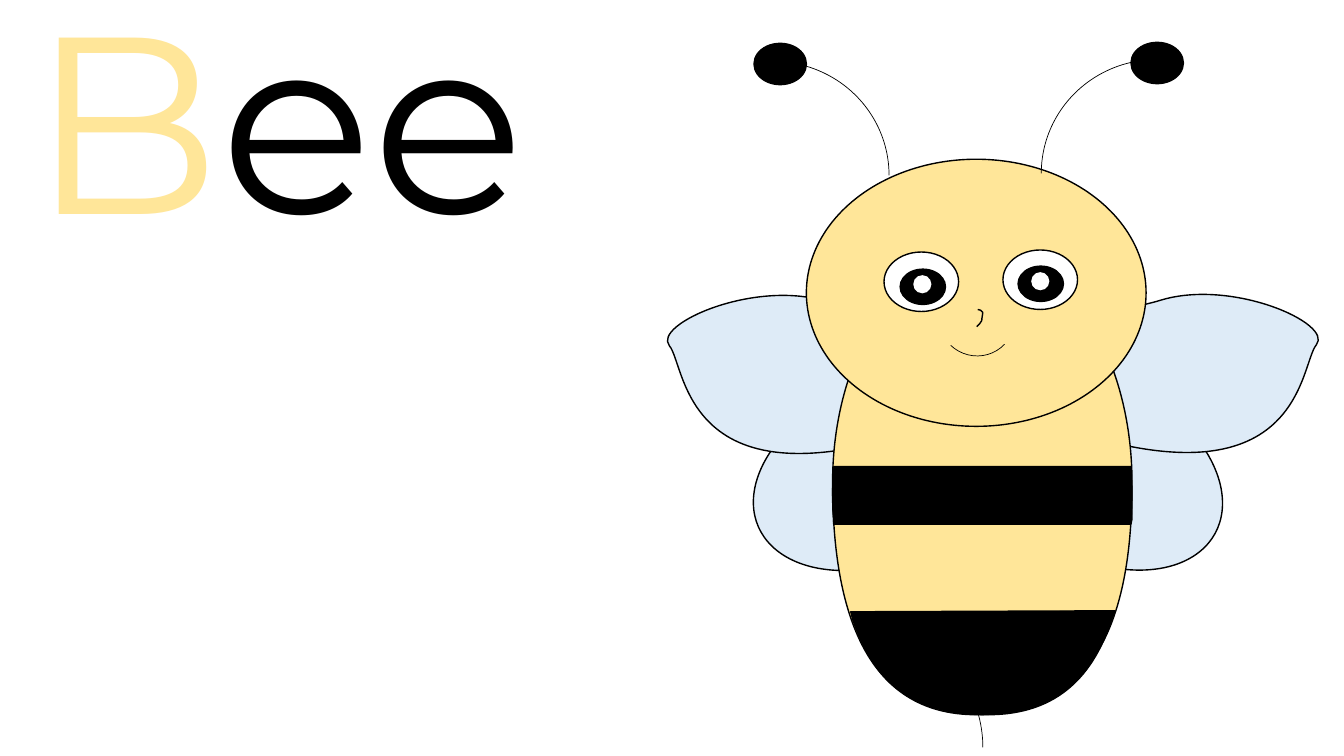
import math
from dataclasses import dataclass, replace
from typing import Optional

import lxml.etree
import pptx
import pptx.dml.color
import pptx.enum.shapes
import pptx.enum.text
import pptx.oxml.ns
import pptx.util

COLS, ROWS = 133.33, 75
SHAPE = pptx.enum.shapes.MSO_SHAPE

Segment = tuple[float, ...]


@dataclass(frozen=True)
class Theme:
    yellow: str = "FFE699"
    black: str = "000000"
    white: str = "FFFFFF"
    wing: str = "DEEBF7"
    font: str = "Montserrat"
    title_size: float = 180
    outline: float = 1
    hairline: float = 0.5


THEME = Theme()


@dataclass(frozen=True)
class Part:
    col: float
    row: float
    cols: float
    rows: float
    fill: Optional[str] = None
    line: float = THEME.outline
    rotation: float = 0
    flip: str = ""


@dataclass(frozen=True)
class Oval(Part):
    pass


@dataclass(frozen=True)
class Arc(Part):
    line: float = THEME.hairline


@dataclass(frozen=True)
class Outline(Part):
    segments: tuple[Segment, ...] = ()


def mirrored(part: Outline, axis: float, drop: float) -> Outline:
    def reflect(values: Segment) -> Segment:
        return tuple(v + drop if i % 2 else 2 * axis - v for i, v in enumerate(values))

    return replace(
        part,
        col=2 * axis - part.col - part.cols,
        row=part.row + drop,
        rotation=360 - part.rotation,
        segments=tuple(map(reflect, part.segments)),
    )


def eye(col: float, row: float, pupil_col: float, pupil_row: float) -> list[Oval]:
    return [
        Oval(col, row, 7.4, 5.9, THEME.white, flip="H"),
        Oval(pupil_col, pupil_row, 4.5, 3.5, THEME.black, flip="H"),
        Oval(pupil_col + 1.3, pupil_row + 0.6, 1.8, 1.8, THEME.white, line=0, flip="V"),
    ]


RIGHT_WING = Outline(96.2, 29.2, 35.1, 17.4, THEME.wing, rotation=342.5, segments=(
    (104.9, 42.3),
    (129.3, 50.7, 128.9, 36.2, 130.6, 34.2),
    (132.3, 32.1, 122.2, 27.6, 115.1, 29.8),
    (108, 32, 80.4, 33.8, 104.9, 42.3),
))

BODY = Outline(74.5, 33.1, 45.9, 29.7, THEME.yellow, rotation=270, segments=(
    (97.5, 70.9),
    (85.9, 71.3, 82.6, 60.6, 82.6, 47.9),
    (82.6, 35.2, 89.3, 25, 97.5, 25),
    (105.7, 25, 112.3, 35.2, 112.3, 47.9),
    (112.3, 60.6, 109.1, 70.5, 97.5, 70.9),
))

STRIPE = Outline(82.6, 46.3, 29.7, 5.7, THEME.black, segments=(
    (82.7, 46.3), (112.2, 46.3), (112.3, 48.6),
    (112.3, 49.6, 112.3, 50.6, 112.3, 51.5),
    (112.2, 52), (82.7, 52), (82.7, 51.5),
    (82.6, 50.6, 82.6, 49.6, 82.6, 48.6),
    (82.7, 46.3),
))

TAIL = Outline(84.4, 60.6, 26.2, 10.3, THEME.black, segments=(
    (110.6, 60.6), (84.4, 60.7), (84.6, 61.5),
    (86.5, 67, 89.8, 70.8, 97.5, 70.9),
    (104.5, 71.1, 108.3, 67.4, 110.2, 61.7),
    (110.6, 60.6),
))

NOSE = Outline(96.9, 30.7, 0.6, 1.8, segments=(
    (97, 30.7),
    (97.2, 30.7, 97.4, 30.8, 97.5, 31),
    (97.5, 31.1, 97.4, 31.6, 97.4, 31.8),
    (97.3, 32, 97.3, 32, 97.2, 32.1),
    (97.1, 32.2, 96.9, 32.4, 96.9, 32.4),
    (96.9, 32.4),
))

BEE = [
    Oval(95.2, 37.6, 27, 17.7, THEME.wing, rotation=28.7, flip="V"),
    RIGHT_WING,
    Oval(74.1, 38, 27, 17.7, THEME.wing, rotation=336.3, flip="HV"),
    mirrored(RIGHT_WING, axis=98.5, drop=0.1),
    Arc(74.5, 62.3, 23, 23.7),
    BODY,
    Oval(80, 15.8, 33.7, 26.5, THEME.yellow),
    Arc(103.3, 5.9, 23, 22.6, flip="H"),
    Arc(65.2, 6.1, 23, 22.6),
    Oval(112.2, 4.2, 5.2, 4.1, THEME.black, flip="H"),
    Oval(74.8, 4.3, 5.2, 4.1, THEME.black, flip="H"),
    *eye(99.5, 24.8, 101, 26.4),
    *eye(87.7, 25, 89.3, 26.7),
    Arc(93.1, 27.8, 7.6, 7.5, rotation=43.5, flip="V"),
    STRIPE,
    NOSE,
    TAIL,
]

prs = pptx.Presentation()
prs.slide_width = pptx.util.Inches(13.33)
prs.slide_height = pptx.util.Inches(7.5)


def x(cols: float) -> int:
    return round(cols * prs.slide_width / COLS)


def y(rows: float) -> int:
    return round(rows * prs.slide_height / ROWS)


def rgb(color: str) -> pptx.dml.color.RGBColor:
    return pptx.dml.color.RGBColor.from_string(color)


def draw_path(sp, part: Outline) -> None:
    qn = pptx.oxml.ns.qn
    angle = math.radians(part.rotation)
    mid_col, mid_row = part.col + part.cols / 2, part.row + part.rows / 2
    geometry = next(sp._element.iter(qn("a:path")))
    for child in list(geometry):
        geometry.remove(child)
    for i, seg in enumerate(part.segments):
        tag = "a:moveTo" if i == 0 else "a:cubicBezTo" if len(seg) == 6 else "a:lnTo"
        command = lxml.etree.SubElement(geometry, qn(tag))
        for col, row in zip(seg[::2], seg[1::2]):
            dx, dy = col - mid_col, row - mid_row
            across = dx * math.cos(angle) + dy * math.sin(angle) + part.cols / 2
            down = dy * math.cos(angle) - dx * math.sin(angle) + part.rows / 2
            pt = lxml.etree.SubElement(command, qn("a:pt"))
            pt.set("x", str(x(across)))
            pt.set("y", str(y(down)))
    if part.fill:
        lxml.etree.SubElement(geometry, qn("a:close"))


def draw(shapes, part: Part) -> None:
    left, top, width, height = x(part.col), y(part.row), x(part.cols), y(part.rows)
    if isinstance(part, Outline):
        builder = shapes.build_freeform(left, top)
        builder.add_line_segments([(left + width, top + height)], close=False)
        sp = builder.convert_to_shape()
        draw_path(sp, part)
    else:
        kind = SHAPE.OVAL if isinstance(part, Oval) else SHAPE.ARC
        sp = shapes.add_shape(kind, left, top, width, height)
    sp.rotation = part.rotation
    for direction in part.flip:
        sp._element.spPr.xfrm.set("flip" + direction, "1")
    sp.shadow.inherit = False
    if part.fill:
        sp.fill.solid()
        sp.fill.fore_color.rgb = rgb(part.fill)
    else:
        sp.fill.background()
    if part.line:
        sp.line.color.rgb = rgb(THEME.black)
        sp.line.width = pptx.util.Pt(part.line)
    else:
        sp.line.fill.background()


def write_title(title) -> None:
    title.left, title.top, title.width, title.height = x(2), y(-4.2), x(79.3), y(31.3)
    tf = title.text_frame
    tf.word_wrap = True
    tf.auto_size = pptx.enum.text.MSO_AUTO_SIZE.SHAPE_TO_FIT_TEXT
    tf.vertical_anchor = pptx.enum.text.MSO_ANCHOR.TOP
    p = tf.paragraphs[0]
    p.text = "B"
    p.add_run().text = "ee"
    p.alignment = pptx.enum.text.PP_ALIGN.LEFT
    for r, color in zip(p.runs, (THEME.yellow, THEME.black)):
        r.font.name = THEME.font
        r.font.size = pptx.util.Pt(THEME.title_size)
        r.font.color.rgb = rgb(color)


def main() -> None:
    slide = prs.slides.add_slide(prs.slide_layouts[5])
    write_title(slide.shapes.title)
    for part in BEE:
        draw(slide.shapes, part)
    prs.save("out.pptx")


if __name__ == "__main__":
    main()
